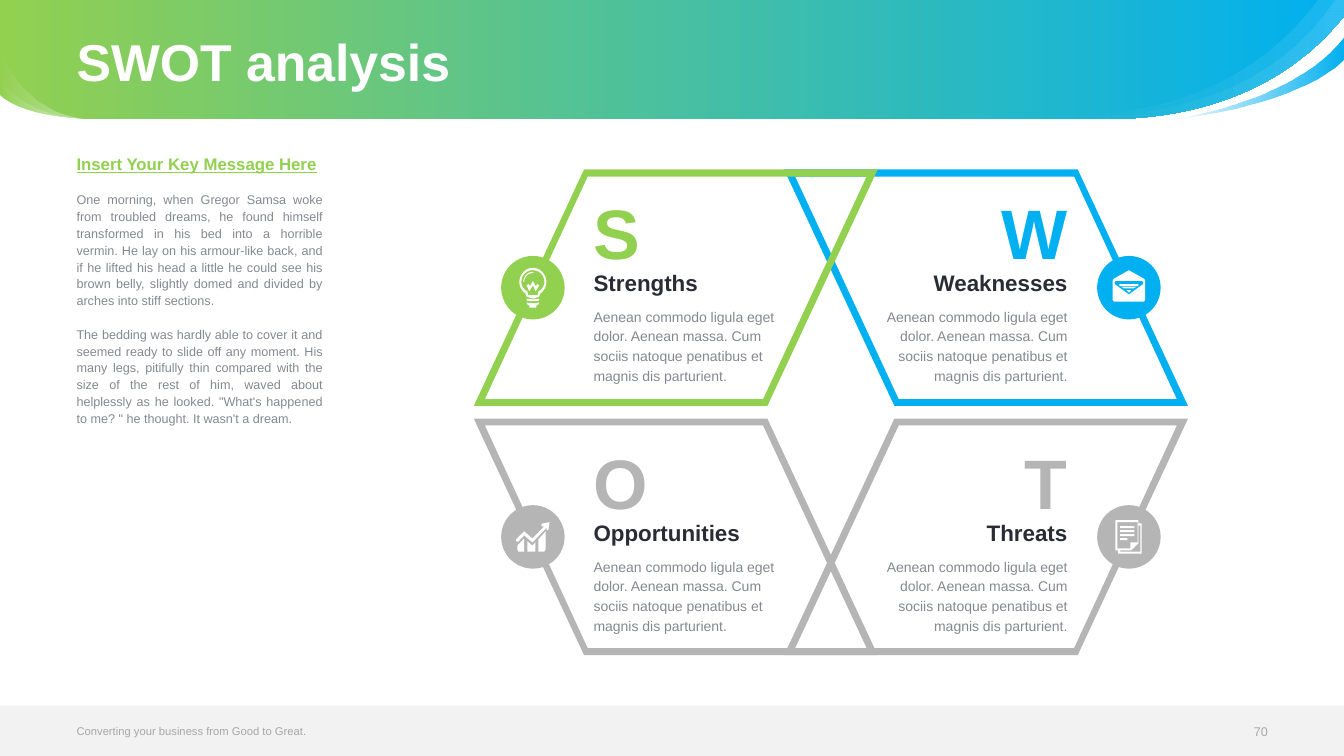
import dataclasses

import lxml.etree
import pptx
import pptx.dml.color
import pptx.enum.shapes
import pptx.enum.text
import pptx.oxml.ns
import pptx.util

ALIGN = pptx.enum.text.PP_ALIGN
ANCHOR = pptx.enum.text.MSO_ANCHOR


@dataclasses.dataclass(frozen=True)
class Theme:
    font: str = "Arial"
    green: str = "92D050"
    blue: str = "00B0F0"
    silver: str = "B5B5B5"
    white: str = "FFFFFF"
    footer_band: str = "F2F2F2"
    footer_text: str = "A6A6A6"
    body: str = "85898F"
    dark: str = "292C34"
    title_size: float = 37
    letter_size: float = 50
    heading_size: float = 16
    message_size: float = 12
    detail_size: float = 10
    body_size: float = 9
    footer_size: float = 8


def rgb(color):
    return pptx.dml.color.RGBColor.from_string(color)


def flatten(outline, steps=24):
    points = []
    for node in outline:
        if len(node) == 2:
            points.append(node)
            continue
        x0, y0 = points[-1]
        x1, y1, x2, y2, x3, y3 = node
        for step in range(1, steps + 1):
            t = step / steps
            a, b, c, d = (1 - t) ** 3, 3 * t * (1 - t) ** 2, 3 * t * t * (1 - t), t ** 3
            points.append((a * x0 + b * x1 + c * x2 + d * x3,
                           a * y0 + b * y1 + c * y2 + d * y3))
    return points


def bar(left, top, right, bottom):
    return [(left, top), (right, top), (right, bottom), (left, bottom)]


class SlideBuilder:
    def __init__(self, slide, theme):
        self.slide = slide
        self.theme = theme

    def finish(self, shape, color):
        shape.shadow.inherit = False
        shape.line.fill.background()
        if isinstance(color, str):
            shape.fill.solid()
            shape.fill.fore_color.rgb = rgb(color)
            return
        shape.fill.gradient()
        shape.fill.gradient_angle = 0
        for stop, (position, stop_color, opacity) in zip(shape.fill.gradient_stops, color):
            stop.position = position
            stop.color.rgb = rgb(stop_color)
        tag = pptx.oxml.ns.qn("a:srgbClr")
        for element, (_, _, opacity) in zip(shape.fill._xPr.iter(tag), color):
            if opacity < 100:
                alpha = lxml.etree.SubElement(element, pptx.oxml.ns.qn("a:alpha"))
                alpha.set("val", str(opacity * 1000))

    def preset(self, kind, left, top, width, height, color):
        shape = self.slide.shapes.add_shape(
            kind, *map(pptx.util.Cm, (left, top, width, height)))
        self.finish(shape, color)

    def outline(self, contours, color, x=0, y=0):
        builder = None
        for contour in contours:
            points = [(pptx.util.Cm(x + px), pptx.util.Cm(y + py))
                      for px, py in flatten(contour)]
            if builder is None:
                builder = self.slide.shapes.build_freeform(*points[0])
            else:
                builder.move_to(*points[0])
            builder.add_line_segments(points[1:], close=True)
        self.finish(builder.convert_to_shape(), color)

    def text(self, left, top, width, height, paragraphs, align=ALIGN.LEFT,
             anchor=ANCHOR.TOP, line_spacing=None, gap=0):
        box = self.slide.shapes.add_textbox(*map(pptx.util.Cm, (left, top, width, height)))
        frame = box.text_frame
        frame.word_wrap = True
        frame.vertical_anchor = anchor
        frame.margin_left = frame.margin_right = frame.margin_top = frame.margin_bottom = 0
        for index, (words, size, color, bold, underline) in enumerate(paragraphs):
            paragraph = frame.add_paragraph() if index else frame.paragraphs[0]
            paragraph.alignment = align
            if line_spacing:
                paragraph.line_spacing = line_spacing
            if index:
                paragraph.space_before = pptx.util.Pt(gap)
            run = paragraph.add_run()
            run.text = words
            run.font.name = self.theme.font
            run.font.size = pptx.util.Pt(size)
            run.font.color.rgb = rgb(color)
            run.font.bold = bold
            run.font.underline = underline


BULB = [
    [(0, -.5), (-.18, -.5, -.34, -.34, -.34, -.14), (-.34, -.04, -.28, .09, -.19, .14),
     (-.16, .22), (-.11, .24, -.06, .27, 0, .27), (.06, .27, .11, .24, .16, .22),
     (.19, .14), (.28, .09, .34, -.04, .34, -.14), (.34, -.34, .18, -.5, 0, -.5)],
    [(.14, .09), (.12, .19), (-.12, .19), (-.14, .09), (-.22, .06, -.29, -.04, -.29, -.14),
     (-.29, -.32, -.16, -.44, 0, -.44), (.16, -.44, .29, -.32, .29, -.14),
     (.29, -.04, .22, .06, .14, .09)],
    [(-.16, .27), (-.16, .32), (-.1, .35, .1, .35, .16, .32), (.16, .27),
     (.1, .3, -.1, .3, -.16, .27)],
    [(-.16, .37), (-.14, .42), (-.09, .45), (-.09, .5), (.09, .5), (.09, .45),
     (.14, .42), (.16, .37), (.1, .4, -.1, .4, -.16, .37)],
    [(.07, -.04), (0, -.17), (-.07, -.04), (-.11, -.09), (-.16, -.06), (-.09, .09),
     (0, -.06), (.07, .09), (.16, -.06), (.11, -.09)],
    [(0, -.37), (.02, -.39), (0, -.4), (-.13, -.4, -.24, -.28, -.24, -.14),
     (-.22, -.14), (-.22, -.26, -.12, -.37, 0, -.37)],
]
ENVELOPE = [
    [(0, -.44), (.39, -.22), (.41, -.17), (.41, .31), (.38, .35), (-.38, .35),
     (-.41, .31), (-.41, -.17), (-.39, -.22)],
    [(.36, -.09), (0, .17), (-.36, -.09), (-.36, -.14), (-.33, -.17), (.33, -.17),
     (.36, -.14)],
    [(-.06, .06), (.06, .06), (.01, .12), (-.01, .12)],
    [(-.18, -.02), (.18, -.02), (.12, .02), (-.12, .02)],
    bar(-.24, -.09, .24, -.04),
]
GROWTH = [
    [(-.39, .22), (-.22, .04), (-.22, .37), (-.37, .37), (-.39, .32)],
    [(-.14, .11), (-.01, .22), (.06, .14), (.06, .37), (-.14, .37)],
    [(.14, .06), (.32, -.14), (.32, .32), (.29, .37), (.14, .37)],
    [(.24, -.34), (.42, -.37), (.39, -.18), (.36, -.17), (.34, -.19), (.35, -.24),
     (-.01, .14), (-.22, -.04), (-.37, .12), (-.42, .11), (-.42, .06), (-.22, -.14),
     (-.01, .04), (.29, -.27), (.24, -.26), (.21, -.3)],
]
DOCUMENT = [
    [(.24, -.34), (.24, -.42), (-.34, -.42), (-.34, .34), (-.27, .34), (-.27, .42),
     (.32, .42), (.32, -.34)],
    [(-.29, .29), (-.29, -.37), (.22, -.37), (.22, .14), (.04, .14), (.04, .29)],
    [(.29, .37), (-.22, .37), (-.22, .34), (.06, .34), (.24, .16), (.24, -.29), (.29, -.29)],
    *[bar(-.22, -.27 + .1 * row, right, -.22 + .1 * row)
      for row, right in enumerate((.14, .14, .14, -.04))],
]
FRAME = [
    [(-1.6, .16), (-9, .16), (-6.22, 6.12), (1.18, 6.12)],
    [(-1.71, .33), (-8.72, .33), (-6.13, 5.94), (.9, 5.94)],
]
CENTER_X, CENTER_Y, BADGE = 20.94, 10.39, 1.6
WIDTH, HEIGHT = 33.87, 19.05
DETAIL = ("Aenean commodo ligula eget dolor. Aenean massa. Cum sociis natoque "
          "penatibus et magnis dis parturient.")
STORY = (
    "One morning, when Gregor Samsa woke from troubled dreams, he found himself transformed "
    "in his bed into a horrible vermin. He lay on his armour-like back, and if he lifted his "
    "head a little he could see his brown belly, slightly domed and divided by arches into "
    "stiff sections.",
    "The bedding was hardly able to cover it and seemed ready to slide off any moment. His "
    "many legs, pitifully thin compared with the size of the rest of him, waved about "
    "helplessly as he looked. \"What's happened to me? \" he thought. It wasn't a dream.",
)


def draw_background(builder):
    theme = builder.theme
    gloss = [(.15, theme.white, 0), (1, theme.white, 10)]
    edge = [(0, theme.white, 0), (1, theme.white, 50)]
    builder.outline([[(WIDTH, 0), (WIDTH, .41), (32.16, 2.54, 29.72, 2.97, 28.07, 3),
                      (2.46, 3), (.46, 2.97, 0, 2.39, 0, 2.39), (0, 0)]],
                    [(0, theme.green, 100), (1, theme.blue, 100)])
    builder.outline([[(WIDTH, 0), (WIDTH, .41), (31.09, 3.89, 26.39, 2.87, 26.26, 2.84),
                      (26.42, 2.84, 31.29, 3.53, 33.63, 0)]], gloss)
    builder.outline([[(29.39, 3), (29.39, 3, 32.56, 2.62, WIDTH, .94), (WIDTH, 1.5),
                      (WIDTH, 1.5, 32.87, 2.64, 29.39, 3)]],
                    [(0, theme.blue, 0), (1, theme.blue, 100)])
    builder.outline([[(WIDTH, 0), (WIDTH, .41), (31.06, 3.94, 26.26, 2.84, 26.26, 2.84),
                      (30.2, 3.1, 32.26, 1.27, 33.2, 0)]], gloss)
    for top in (1.93, 1.14):
        builder.outline([[(2.49, 3), (.46, 2.97, 0, 2.39, 0, 2.39), (0, top),
                          (0, top, .46, 2.97, 2.49, 3)]], edge)
    builder.preset(pptx.enum.shapes.MSO_SHAPE.RECTANGLE, 0, 17.78, WIDTH, 1.27,
                   theme.footer_band)


def draw_quadrant(builder, letter, heading, color, icon, side, level):
    theme = builder.theme
    builder.outline([[(side * x, level * y) for x, y in contour] for contour in FRAME],
                    color, CENTER_X, CENTER_Y)
    badge_x, badge_y = CENTER_X - side * 7.51, CENTER_Y + level * 3.14
    builder.preset(pptx.enum.shapes.MSO_SHAPE.OVAL, badge_x - BADGE / 2,
                   badge_y - BADGE / 2, BADGE, BADGE, color)
    builder.outline(icon, theme.white, badge_x, badge_y)
    left, align = (14.96, ALIGN.LEFT) if side == 1 else (21.97, ALIGN.RIGHT)
    top = 4.78 if level == -1 else 11.08
    for offset, height, words, size, ink, bold, spacing in (
            (2.92, 2, DETAIL, theme.detail_size, theme.body, False, pptx.util.Pt(14)),
            (2, .68, heading, theme.heading_size, theme.dark, True, None),
            (0, 2.13, letter, theme.letter_size, color, True, None)):
        builder.text(left, top + offset, 4.93, height, [(words, size, ink, bold, False)],
                     align, line_spacing=spacing)


def main():
    presentation = pptx.Presentation()
    presentation.slide_width = pptx.util.Cm(WIDTH)
    presentation.slide_height = pptx.util.Cm(HEIGHT)
    theme = Theme()
    builder = SlideBuilder(presentation.slides.add_slide(presentation.slide_layouts[6]), theme)
    draw_background(builder)
    builder.text(1.93, .13, 30, 3, [("SWOT analysis", theme.title_size, theme.white, True, False)],
                 anchor=ANCHOR.MIDDLE, line_spacing=.9)
    builder.text(1.93, 3.96, 6.2, 13.18,
                 [("Insert Your Key Message Here", theme.message_size, theme.green, True, True)]
                 + [(words, theme.body_size, theme.body, False, False) for words in STORY],
                 ALIGN.JUSTIFY, line_spacing=pptx.util.Pt(12), gap=12)
    builder.text(1.93, 18.08, 13.28, .66, [("Converting your business from Good to Great.",
                 theme.footer_size, theme.footer_text, False, False)], anchor=ANCHOR.MIDDLE)
    builder.text(30.35, 18.11, 1.6, .66, [("70", theme.body_size, theme.footer_text, False, False)],
                 ALIGN.RIGHT, ANCHOR.MIDDLE)
    for quadrant in (("W", "Weaknesses", theme.blue, ENVELOPE, -1, -1),
                     ("O", "Opportunities", theme.silver, GROWTH, 1, 1),
                     ("T", "Threats", theme.silver, DOCUMENT, -1, 1),
                     ("S", "Strengths", theme.green, BULB, 1, -1)):
        draw_quadrant(builder, *quadrant)
    presentation.save("out.pptx")


if __name__ == "__main__":
    main()
